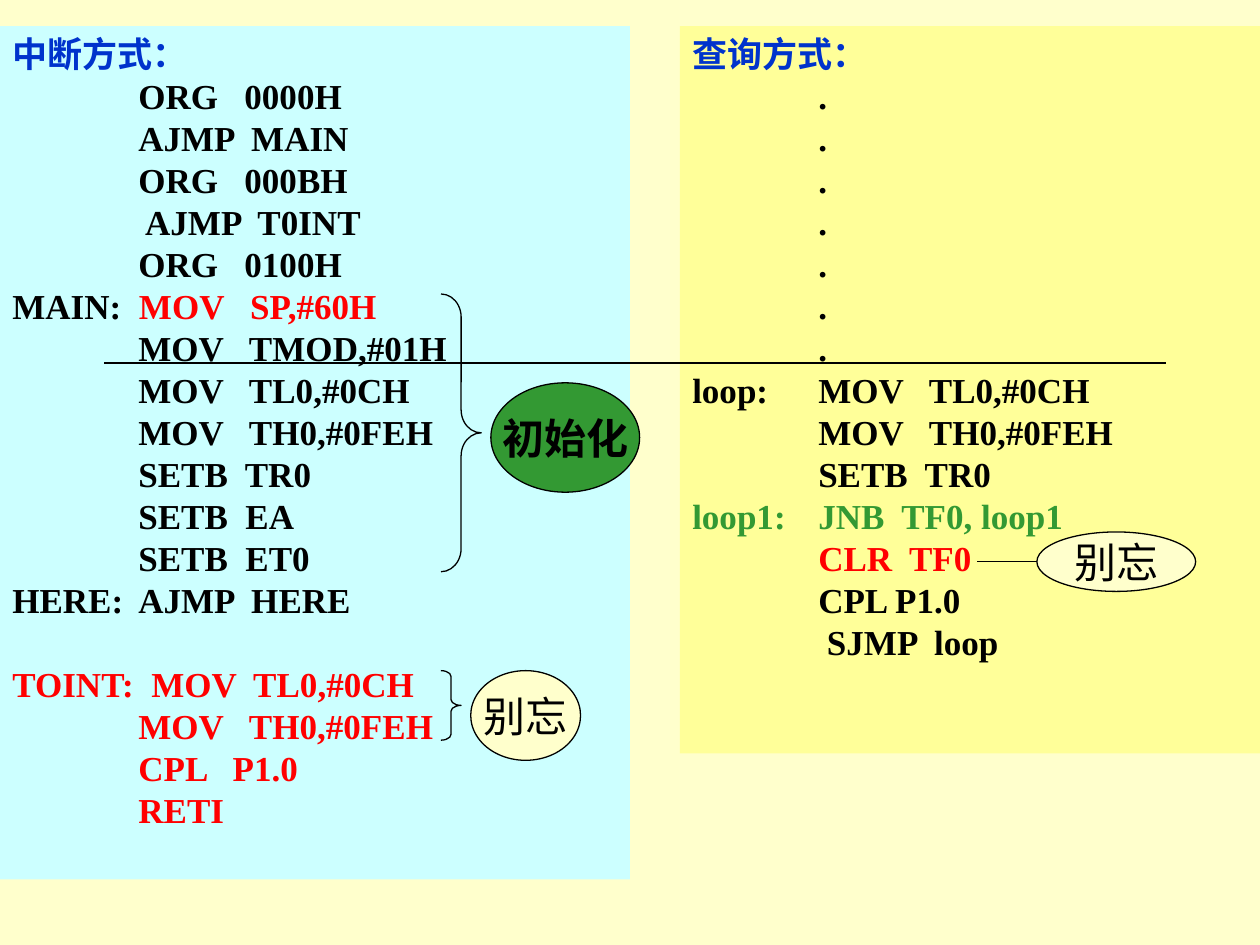
from lxml.etree import SubElement
from pptx import Presentation
from pptx.dml.color import RGBColor
from pptx.enum.shapes import MSO_CONNECTOR as CONNECTOR, MSO_SHAPE as SHAPE
from pptx.enum.text import MSO_ANCHOR as ANCHOR, PP_ALIGN as ALIGN
from pptx.oxml.ns import qn
from pptx.util import Pt

CREAM = RGBColor(0xFF, 0xFF, 0xCC)
CYAN = RGBColor(0xCC, 0xFF, 0xFF)
YELLOW = RGBColor(0xFF, 0xFF, 0x99)
BLUE = RGBColor(0x00, 0x33, 0xCC)
RED = RGBColor(0xFF, 0x00, 0x00)
GREEN = RGBColor(0x33, 0x99, 0x33)
BLACK = RGBColor(0x00, 0x00, 0x00)

FONT = "Times New Roman"
LINE_PITCH = 24
CODE_TAB = 72

# Each line of a listing is a list of (text, colour) runs.
interrupt_listing = [
    [("中断方式：", BLUE)],
    [("\tORG   0000H", BLACK)],
    [("\tAJMP  MAIN", BLACK)],
    [("\tORG   000BH", BLACK)],
    [("\t AJMP  T0INT", BLACK)],
    [("\tORG   0100H", BLACK)],
    [("MAIN:  ", BLACK), ("MOV   SP,#60H", RED)],
    [("\tMOV   TMOD,#01H", BLACK)],
    [("\tMOV   TL0,#0CH", BLACK)],
    [("\tMOV   TH0,#0FEH", BLACK)],
    [("\tSETB  TR0", BLACK)],
    [("\tSETB  EA", BLACK)],
    [("\tSETB  ET0", BLACK)],
    [("HERE:\tAJMP  HERE", BLACK)],
    [("TOINT:  MOV  TL0,#0CH", RED)],
    [("\tMOV   TH0,#0FEH", RED)],
    [("\tCPL   P1.0", RED)],
    [("\tRETI", RED)],
]
polling_listing = [
    [("查询方式：", BLUE)],
    *[[("\t.", BLACK)]] * 7,
    [("loop:\tMOV   TL0,#0CH", BLACK)],
    [("\tMOV   TH0,#0FEH", BLACK)],
    [("\tSETB  TR0", BLACK)],
    [("loop1:\tJNB  TF0, loop1", GREEN)],
    [("\tCLR  TF0", RED)],
    [("\tCPL P1.0", BLACK)],
    [("\t SJMP  loop", BLACK)],
]

prs = Presentation()
prs.slide_width, prs.slide_height = Pt(720), Pt(540)
slide = prs.slides.add_slide(prs.slide_layouts[6])
slide.background.fill.solid()
slide.background.fill.fore_color.rgb = CREAM


def add_figure(kind, box, fill=None, outlined=True):
    figure = slide.shapes.add_shape(kind, *map(Pt, box))
    figure.shadow.inherit = False
    if fill is None:
        figure.fill.background()
    else:
        figure.fill.solid()
        figure.fill.fore_color.rgb = fill
    if outlined:
        figure.line.color.rgb = BLACK
        figure.line.width = Pt(0.75)
    else:
        figure.line.fill.background()
    return figure


def add_run(paragraph, text, size, colour, bold):
    run = paragraph.add_run()
    run.text = text
    run.font.name = FONT
    run.font.size = Pt(size)
    run.font.bold = bold
    run.font.color.rgb = colour


# Code panels
for listing, box, fill in [
    (interrupt_listing, (0, 15, 360, 487.5), CYAN),
    (polling_listing, (388.5, 15, 331.5, 415.5), YELLOW),
]:
    panel = add_figure(SHAPE.RECTANGLE, box, fill, outlined=False)
    frame = panel.text_frame
    frame.word_wrap = True
    frame.vertical_anchor = ANCHOR.TOP
    for index, runs in enumerate(listing):
        line = frame.paragraphs[0] if index == 0 else frame.add_paragraph()
        tabs = SubElement(line._p.get_or_add_pPr(), qn("a:tabLst"))
        SubElement(tabs, qn("a:tab"), pos=str(Pt(CODE_TAB)), algn="l")
        line.alignment = ALIGN.LEFT
        line.line_spacing = Pt(LINE_PITCH)
        if runs[0][0].startswith("TOINT"):
            line.space_before = Pt(LINE_PITCH)
        for text, colour in runs:
            add_run(line, text, 20, colour, True)

# Braces beside the initialisation and the reload code
for left, top, width, height in [(252, 168, 23, 158.75), (252, 383.25, 11.5, 39.75)]:
    brace = add_figure(SHAPE.RIGHT_BRACE, (left, top, width, height))
    brace.adjustments[0] = height / 12 / width

# Callout ellipses
for text, box, fill, bold in [
    ("初始化", (280.5, 218.75, 85, 62.5), GREEN, True),
    ("别忘", (269, 383.25, 62.75, 51.25), CREAM, False),
    ("别忘", (592.5, 304, 90.75, 34), CREAM, False),
]:
    callout = add_figure(SHAPE.OVAL, box, fill)
    frame = callout.text_frame
    frame.word_wrap = False
    frame.vertical_anchor = ANCHOR.MIDDLE
    frame.paragraphs[0].alignment = ALIGN.CENTER
    add_run(frame.paragraphs[0], text, 24, BLACK, bold)

# Horizontal rule, and the link from CLR TF0 to its callout
for start, end, y in [(59.5, 666, 207.5), (558.5, 592.5, 321)]:
    rule = slide.shapes.add_connector(CONNECTOR.STRAIGHT, Pt(start), Pt(y), Pt(end), Pt(y))
    rule.line.color.rgb = BLACK
    rule.line.width = Pt(0.75)
    SubElement(rule._element.spPr, qn("a:effectLst"))

prs.save("out.pptx")
